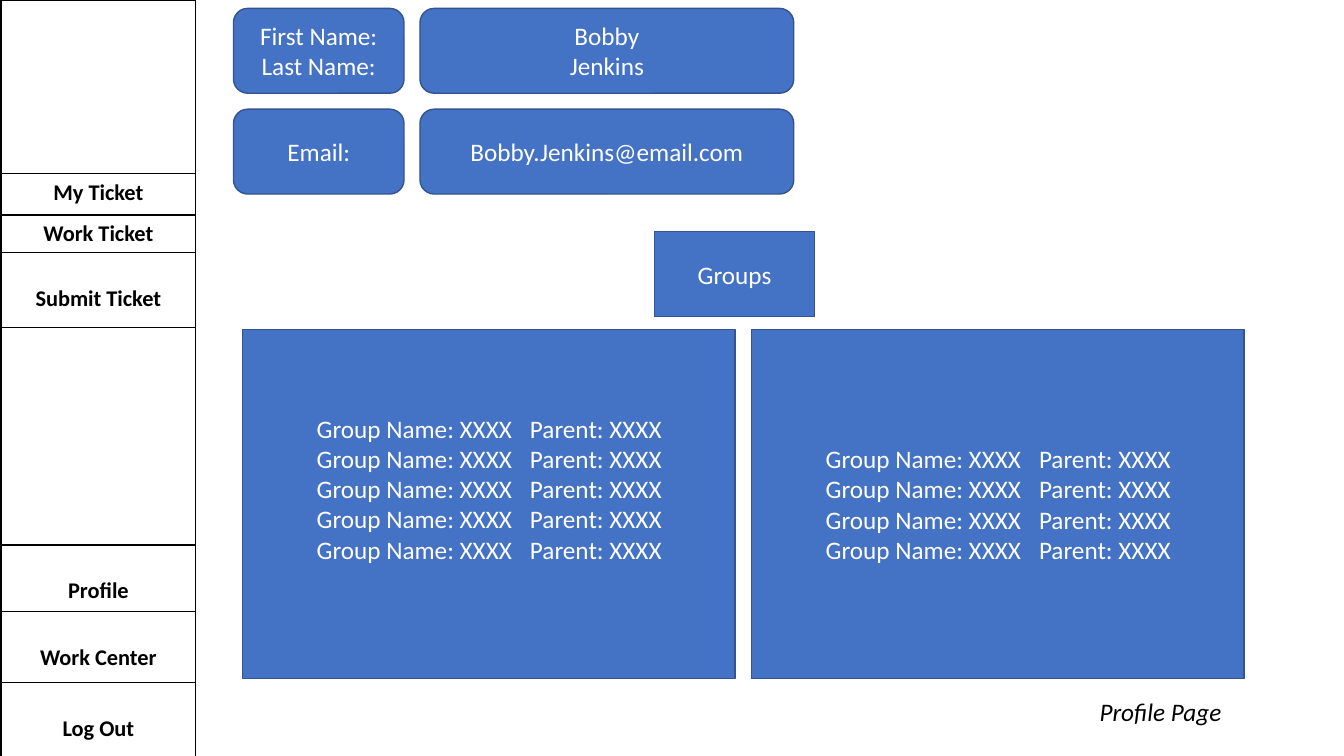
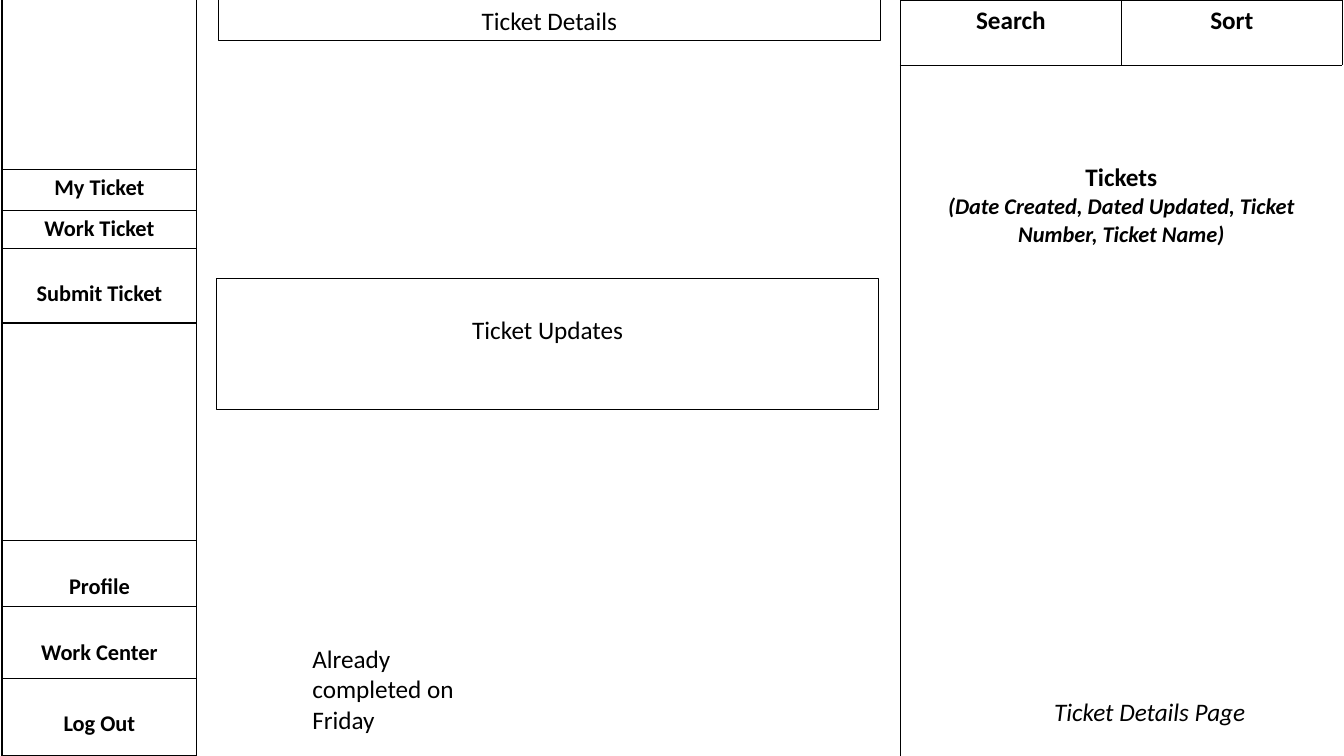
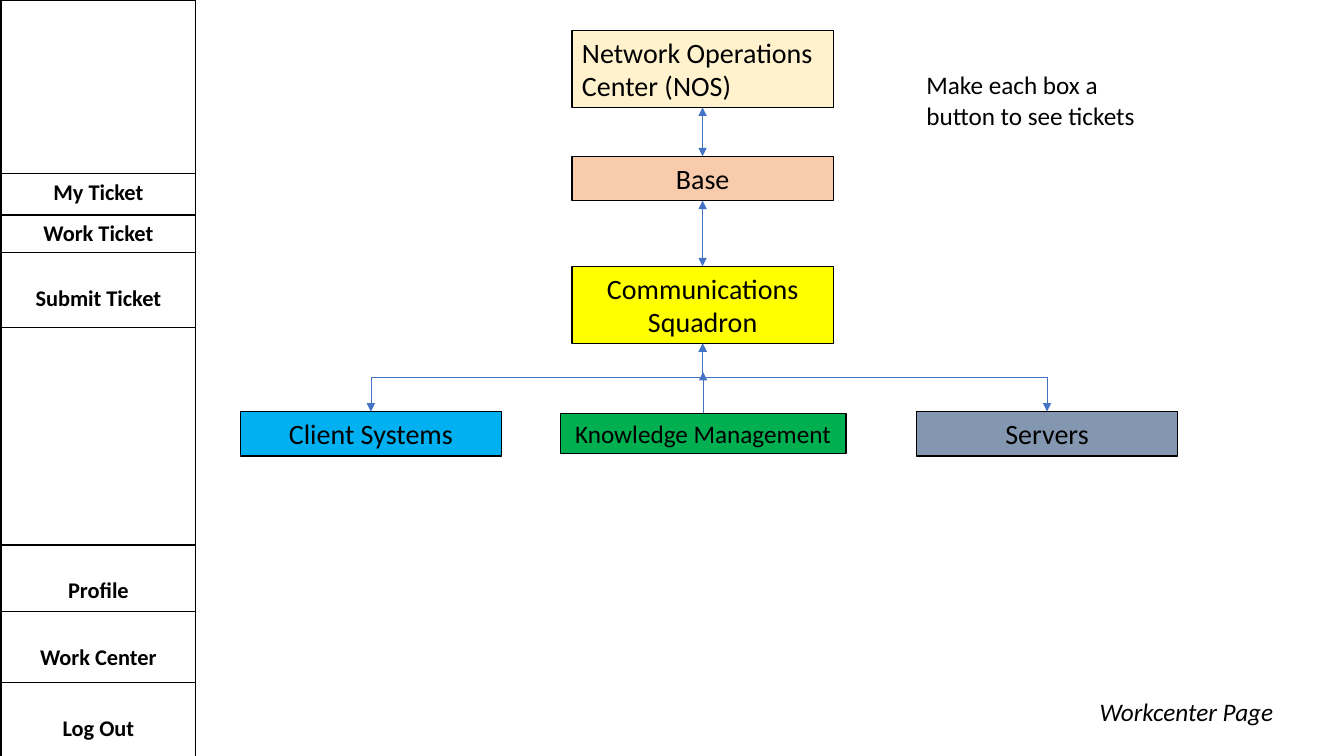
"""Build three wireframe slides of a ticketing application."""
from dataclasses import dataclass
from typing import Optional, Sequence

from lxml import etree
from pptx import Presentation
from pptx.dml.color import RGBColor
from pptx.enum.shapes import MSO_CONNECTOR, MSO_SHAPE
from pptx.enum.text import MSO_ANCHOR, MSO_AUTO_SIZE, PP_ALIGN
from pptx.oxml.ns import qn
from pptx.util import Emu, Inches, Pt

COLUMNS, ROWS = 160, 90
UNIT = Inches(1 / 12)
FONT = "Calibri"
BLACK, WHITE, BLUE, DARK_BLUE = "000000", "FFFFFF", "4472C4", "325491"
TITLE_LAYOUT = 5
CELL_INSET = 0.6
LINE_16, LINE_18 = 3.25, 3.66
TOP, BOTTOM = 0, 2


@dataclass(frozen=True)
class Box:
    """A rectangle in grid units."""
    left: float
    top: float
    width: float
    height: float

    def lengths(self) -> list[Emu]:
        """Return left, top, width and height as lengths."""
        return [units(n) for n in (self.left, self.top, self.width, self.height)]


@dataclass(frozen=True)
class Style:
    """The look of a paragraph."""
    size: int = 18
    color: str = BLACK
    bold: bool = False
    italic: bool = False
    align: PP_ALIGN = PP_ALIGN.CENTER


@dataclass(frozen=True)
class Look:
    """The look of a panel."""
    fill: Optional[str] = None
    line: Optional[str] = None
    weight: float = 1
    anchor: MSO_ANCHOR = MSO_ANCHOR.TOP
    geometry: MSO_SHAPE = MSO_SHAPE.RECTANGLE


@dataclass(frozen=True)
class MenuRow:
    """A row of the side menu."""
    height: float
    label: str = ""
    gap: float = 0


@dataclass(frozen=True)
class Unit:
    """A box of the organisation chart."""
    name: str
    box: Box
    fill: str
    style: Style = Style(size=20)


LEFT = Style(align=PP_ALIGN.LEFT)
PAGE_NAME = Style(italic=True, align=PP_ALIGN.LEFT)
MENU = Style(size=16, bold=True)
HEADING = Style(bold=True)
ON_BLUE = Style(color=WHITE)
GROUP_ROW = Style(color=WHITE, align=PP_ALIGN.LEFT)

CARD = Look(BLUE, DARK_BLUE, anchor=MSO_ANCHOR.MIDDLE)
ROUND_CARD = Look(BLUE, DARK_BLUE, anchor=MSO_ANCHOR.MIDDLE,
                  geometry=MSO_SHAPE.ROUNDED_RECTANGLE)
FRAME = Look(line=BLACK, weight=0.75)

MENU_ROWS = [
    MenuRow(20.7),
    MenuRow(4.9, "My Ticket"),
    MenuRow(4.5, "Work Ticket"),
    MenuRow(8.9, "Submit Ticket", LINE_16),
    MenuRow(25.9),
    MenuRow(7.9, "Profile", LINE_16),
    MenuRow(8.5, "Work Center", LINE_16),
    MenuRow(9.2, "Log Out", LINE_16),
]


def units(count: float) -> Emu:
    """Turn grid units into a length."""
    return Emu(round(count * UNIT))


def rgb(color: str) -> RGBColor:
    """Turn a hex string into a colour."""
    return RGBColor.from_string(color)


def write(frame, lines: Sequence[str], styles: Sequence[Style]) -> None:
    """Fill a text frame, one style a line or one for all."""
    frame.word_wrap = True
    for index, text in enumerate(lines):
        style = styles[min(index, len(styles) - 1)]
        paragraph = frame.paragraphs[0] if index == 0 else frame.add_paragraph()
        paragraph.alignment = style.align
        run = paragraph.add_run()
        run.text = text
        font = run.font
        font.name, font.size = FONT, Pt(style.size)
        font.bold, font.italic = style.bold, style.italic
        font.color.rgb = rgb(style.color)


def add_panel(slide, box: Box, look: Look, lines: Sequence[str], style: Style):
    """Add a preset shape with text."""
    shape = slide.shapes.add_shape(look.geometry, *box.lengths())
    shape.shadow.inherit = False
    if look.fill:
        shape.fill.solid()
        shape.fill.fore_color.rgb = rgb(look.fill)
    else:
        shape.fill.background()
    shape.line.color.rgb = rgb(look.line)
    shape.line.width = Pt(look.weight)
    shape.text_frame.vertical_anchor = look.anchor
    write(shape.text_frame, lines, [style])
    return shape


def add_note(slide, box: Box, text: str) -> None:
    """Add a plain left-aligned note."""
    write(slide.shapes.add_textbox(*box.lengths()).text_frame, [text], [LEFT])


def set_borders(cell, right: str = BLACK) -> None:
    """Give a cell thin borders and no fill."""
    properties = cell._tc.get_or_add_tcPr()
    for side, color in (("L", BLACK), ("R", right), ("T", BLACK), ("B", BLACK)):
        line = etree.SubElement(properties, qn(f"a:ln{side}"), w=str(Pt(1)))
        fill = etree.SubElement(line, qn("a:solidFill"))
        etree.SubElement(fill, qn("a:srgbClr"), val=color)
    cell.fill.background()


def add_grid(slide, left: float, top: float, widths: Sequence[float],
             heights: Sequence[float]):
    """Add a table without banding, sized by its columns and rows."""
    box = Box(left, top, sum(widths), sum(heights))
    table = slide.shapes.add_table(len(heights), len(widths), *box.lengths()).table
    table.first_row = table.horz_banding = False
    for column, width in zip(table.columns, widths):
        column.width = units(width)
    for row, height in zip(table.rows, heights):
        row.height = units(height)
    return table


def add_menu(slide, left: float = 0.12, top: float = 0, shorten: float = 0) -> None:
    """Add the side menu shared by all pages."""
    heights = [row.height for row in MENU_ROWS]
    heights[0] -= shorten
    table = add_grid(slide, left, top, [23.2], heights)
    for index, row in enumerate(MENU_ROWS):
        cell = table.cell(index, 0)
        set_borders(cell)
        if row.label:
            cell.margin_top = units(CELL_INSET + row.gap)
            write(cell.text_frame, [row.label], [MENU])


def add_page(deck, name: str, left: float = 129.7, width: float = 24):
    """Add a slide whose title is the page name at the lower right."""
    slide = deck.slides.add_slide(deck.slide_layouts[TITLE_LAYOUT])
    title = slide.shapes.title
    title.left, title.top, title.width, title.height = Box(left, 82.3, width, 4.8).lengths()
    title.text_frame.auto_size = MSO_AUTO_SIZE.NONE
    title.text_frame.vertical_anchor = MSO_ANCHOR.TOP
    write(title.text_frame, [name], [PAGE_NAME])
    return slide


def style_arrow(connector, ends: Sequence[str]) -> None:
    """Give a connector its line, arrowheads and no shadow."""
    connector.line.color.rgb = rgb(BLUE)
    connector.line.width = Pt(0.5)
    properties = connector.element.spPr
    line = properties.find(qn("a:ln"))
    for end in ends:
        etree.SubElement(line, qn(f"a:{end}"), type="triangle")
    etree.SubElement(properties, qn("a:effectLst"))


def link(slide, child, parent) -> None:
    """Join the top of a box to the bottom of its parent."""
    start_x, end_x = (s.left + s.width // 2 for s in (child, parent))
    start_y, end_y = child.top, parent.top + parent.height
    straight = start_x == end_x
    kind = MSO_CONNECTOR.STRAIGHT if straight else MSO_CONNECTOR.ELBOW
    connector = slide.shapes.add_connector(kind, start_x, start_y, end_x, end_y)
    connector.begin_connect(child, TOP)
    connector.end_connect(parent, BOTTOM)
    if not straight:
        turn_upright(connector, start_x < end_x)
    style_arrow(connector, ["headEnd", "tailEnd"])


def turn_upright(connector, from_left: bool) -> None:
    """Rotate an elbow so that it leaves and arrives vertically."""
    width, height = connector.width, connector.height
    connector.left += (width - height) // 2
    connector.top += (height - width) // 2
    connector.width, connector.height = height, width
    transform = connector.element.spPr.find(qn("a:xfrm"))
    transform.set("rot", str((90 if from_left else 270) * 60000))
    transform.set("flipH", "1" if from_left else "0")
    transform.set("flipV", "1")


def add_group_list(slide, left: float, count: int, bottom_gap: float) -> None:
    """Add a panel of group names with their parents in a second column."""
    rows = ["Group Name: XXXX\tParent: XXXX"] * count
    panel = add_panel(slide, Box(left, 39.2, 58.6, 41.6), CARD, rows, GROUP_ROW)
    frame = panel.text_frame
    frame.margin_left = units(8.8)
    frame.margin_bottom = units(CELL_INSET + bottom_gap)
    for paragraph in frame.paragraphs:
        stops = etree.SubElement(paragraph._p.get_or_add_pPr(), qn("a:tabLst"))
        etree.SubElement(stops, qn("a:tab"), pos=str(units(25.4)), algn="l")


def build_profile(deck) -> None:
    """Build the profile page."""
    slide = add_page(deck, "Profile Page")
    add_menu(slide)
    fields = [
        (["First Name:", "Last Name:"], ["Bobby", "Jenkins"]),
        (["Email:"], ["Bobby.Jenkins@email.com"]),
    ]
    for index, (labels, values) in enumerate(fields):
        top = 1 + 12 * index
        add_panel(slide, Box(27.8, top, 20.3, 10.1), ROUND_CARD, labels, ON_BLUE)
        add_panel(slide, Box(50, top, 44.5, 10.1), ROUND_CARD, values, ON_BLUE)
    add_panel(slide, Box(77.9, 27.6, 19.1, 10.1), CARD, ["Groups"], ON_BLUE)
    add_group_list(slide, 28.9, 5, LINE_18)
    add_group_list(slide, 89.5, 4, 0)


def build_ticket_details(deck) -> None:
    """Build the ticket details page."""
    slide = add_page(deck, "Ticket Details Page", 124.3, 29.4)
    table = add_grid(slide, 107.2, 0, [26.3, 26.3], [7.8, 82.3])
    for column, heading in enumerate(["Search", "Sort"]):
        cell = table.cell(0, column)
        set_borders(cell)
        write(cell.text_frame, [heading], [HEADING])
        set_borders(table.cell(1, column), right=WHITE)
    tickets = table.cell(1, 0)
    tickets.merge(table.cell(1, 1))
    tickets.margin_top = units(CELL_INSET + 3 * LINE_18)
    write(tickets.text_frame,
          ["Tickets", "(Date Created, Dated Updated, Ticket Number, Ticket Name)"],
          [HEADING, Style(size=16, bold=True, italic=True)])
    add_menu(slide, 0.24, -0.24, shorten=0.3)
    add_note(slide, Box(36, 76, 19.6, 12.1), "Already completed on Friday")
    add_panel(slide, Box(26, 0, 78.8, 4.8), FRAME, ["Ticket Details"], Style())
    updates = add_panel(slide, Box(25.8, 33.1, 78.8, 15.7), FRAME,
                        ["Ticket Updates"], Style())
    updates.text_frame.margin_top = units(CELL_INSET + LINE_18)


def build_work_center(deck) -> None:
    """Build the work center page with its organisation chart."""
    slide = add_page(deck, "Workcenter Page")
    add_menu(slide)
    width, low, tall, middle = 31.1, 5.3, 9.2, 68.1
    chart = [
        Unit("Network Operations Center (NOS)", Box(middle, 3.6, width, tall), "FFF2CC",
             Style(size=20, align=PP_ALIGN.LEFT)),
        Unit("Base", Box(middle, 18.6, width, low), "F8CBAD"),
        Unit("Communications Squadron", Box(middle, 31.7, width, tall), "FFFF00"),
        Unit("Client Systems", Box(28.6, 49, width, low), "00B0F0"),
        Unit("Knowledge Management", Box(66.7, 49.2, 34, 4.8), "00B050", Style()),
        Unit("Servers", Box(109.1, 49, width, low), "8497B0"),
    ]
    center, base, squadron, clients, knowledge, servers = [
        add_panel(slide, unit.box, Look(unit.fill, BLACK), [unit.name], unit.style)
        for unit in chart
    ]
    for child, parent in ((clients, squadron), (squadron, base),
                          (base, center), (servers, squadron)):
        link(slide, child, parent)
    middle_x = knowledge.left + knowledge.width // 2
    branch = slide.shapes.add_connector(
        MSO_CONNECTOR.STRAIGHT, middle_x, knowledge.top, middle_x, units(44.3))
    branch.begin_connect(knowledge, TOP)
    style_arrow(branch, ["tailEnd"])
    add_note(slide, Box(109.1, 7.7, 28.9, 8.5), "Make each box a button to see tickets")


def main() -> None:
    """Build and save the deck."""
    deck = Presentation()
    deck.slide_width, deck.slide_height = units(COLUMNS), units(ROWS)
    build_profile(deck)
    build_ticket_details(deck)
    build_work_center(deck)
    deck.save("out.pptx")


main()
